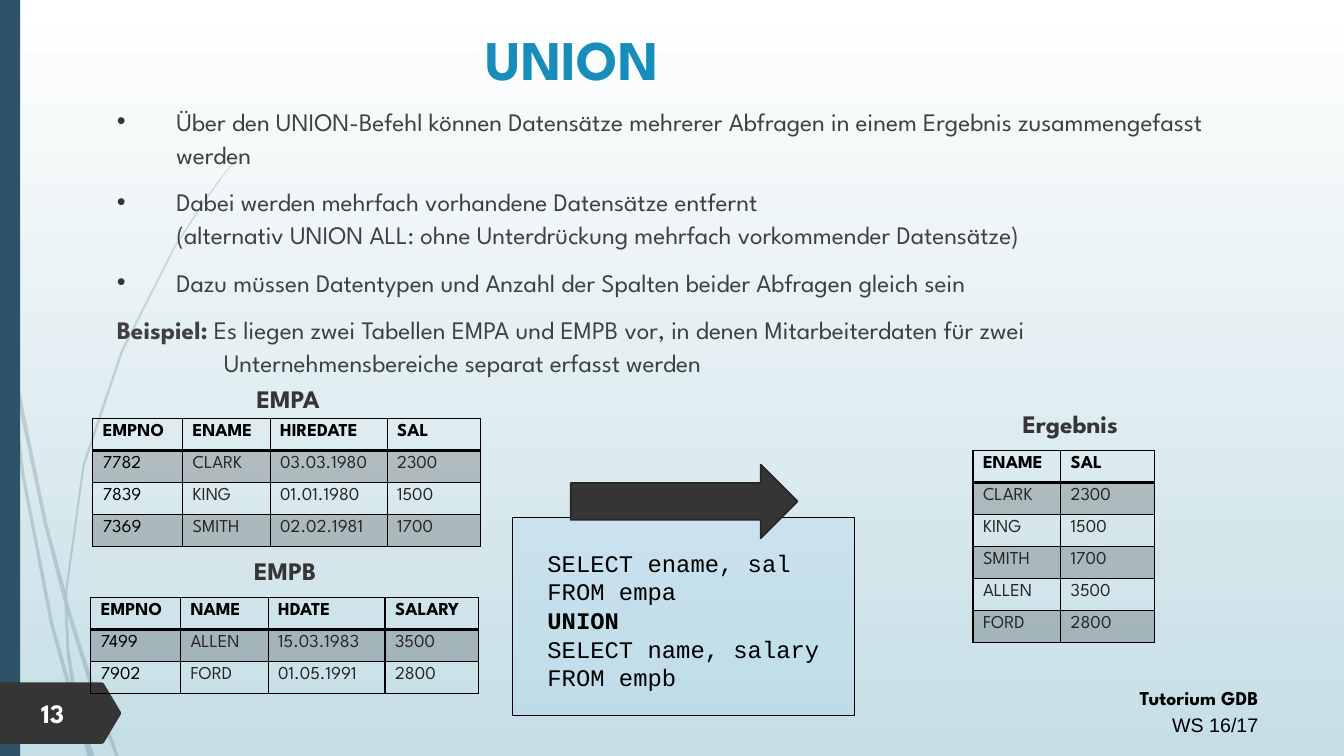
from lxml import etree
from pptx import Presentation
from pptx.dml.color import RGBColor
from pptx.enum.shapes import MSO_SHAPE
from pptx.enum.text import MSO_ANCHOR, MSO_AUTO_SIZE, PP_ALIGN
from pptx.oxml.ns import qn
from pptx.util import Inches, Pt

LEFT, CENTER, RIGHT = PP_ALIGN.LEFT, PP_ALIGN.CENTER, PP_ALIGN.RIGHT
TOP, MIDDLE = MSO_ANCHOR.TOP, MSO_ANCHOR.MIDDLE
RECTANGLE, ARROW = MSO_SHAPE.RECTANGLE, MSO_SHAPE.RIGHT_ARROW
NO_AUTOFIT = MSO_AUTO_SIZE.NONE
FONT, CODE_FONT, PLAIN_FONT = "League Spartan", "Courier New", "Arial"
COLORS = {
    "white": "FFFFFF", "mist": "C5DEE5", "navy": "2E5369", "title": "178DBB",
    "body": "404040", "dark": "353535", "edge": "272727", "black": "000000",
    "cell": "262626", "code": "A8D5F0",
}
WISPS = [
    [(.08, 3.5), (.06, 3.22), (0, 2.82), (0, 2.99), (.08, 3.44)],
    [(.44, 5.22), (.64, 5.99), (.65, 5.86), (.47, 5.2), (.11, 3.45), (.13, 3.76)],
    [(.7, 6.07), (.67, 5.96), (.67, 6.1), (.93, 6.94), (1.15, 7.51), (1.18, 7.51),
     (.97, 6.92)],
    [(.91, 7.51), (.94, 7.51), (.8, 7.11)],
    [(.71, 6.83), (.53, 6.19), (.24, 4.69), (.13, 3.76), (.08, 3.5), (.21, 4.7),
     (.5, 6.21), (.7, 6.93), (.77, 7.14), (.75, 7.07)],
    [(.64, 5.99), (.66, 6.46), (.71, 6.83), (.73, 6.92), (.8, 7.11), (.79, 7.06),
     (.69, 6.46), (.67, 6.1), (.67, 6.08)],
    [(.67, 5.84), (.84, 4.62), (1.22, 3.49), (1.74, 2.45), (2.05, 1.98), (2.21, 1.75),
     (2.38, 1.54), (2.38, 1.53), (2.2, 1.75), (2.04, 1.97), (1.73, 2.44), (1.2, 3.48),
     (.82, 4.61), (.65, 5.84), (.65, 5.86), (.67, 5.96)],
    [(.77, 7.14), (.87, 7.51), (.9, 7.51)],
    [(.67, 6.08), (.67, 6.1), (.67, 5.96), (.65, 5.86), (.64, 5.99)],
    [(.74, 6.92), (.71, 6.83), (.75, 7.07), (.77, 7.14), (.9, 7.51), (.91, 7.51),
     (.8, 7.11)],
]


def rgb(name):
    return RGBColor.from_string(COLORS[name])


def box_lengths(box):
    return [Inches(value) for value in box]


def write(paragraph, text, size=18, font=FONT, color="black", bold=False, align=LEFT):
    """Add text to a paragraph; a newline becomes a line break."""
    paragraph.alignment = align
    for index, line in enumerate(text.split("\n")):
        if index:
            paragraph.add_line_break()
        run = paragraph.add_run()
        run.text = line
        run.font.size, run.font.name, run.font.bold = Pt(size), font, bold
        run.font.color.rgb = rgb(color)


def paint(shape, color, opacity=100, line=None, line_width=1):
    shape.shadow.inherit = False
    shape.fill.solid()
    shape.fill.fore_color.rgb = rgb(color)
    if opacity < 100:
        set_opacity(shape.fill, shape._element.spPr, opacity)
    if line:
        shape.line.color.rgb = rgb(line)
        shape.line.width = Pt(line_width)
    else:
        shape.line.fill.background()


def set_opacity(fill, properties, opacity):
    color = properties.find(qn("a:solidFill"))[0]
    etree.SubElement(color, qn("a:alpha"), val=str(opacity * 1000))


def add_text_box(slide, box, text, anchor=TOP, **text_format):
    frame = slide.shapes.add_textbox(*box_lengths(box)).text_frame
    frame.word_wrap, frame.vertical_anchor = True, anchor
    write(frame.paragraphs[0], text, **text_format)
    return frame


def add_outline(slide, origin, points, **style):
    corners = [(Inches(origin[0] + x), Inches(origin[1] + y)) for x, y in points]
    builder = slide.shapes.build_freeform(*corners[0], scale=1)
    builder.add_line_segments(corners[1:], close=True)
    paint(builder.convert_to_shape(), **style)


def place_placeholder(placeholder, box):
    """Position a placeholder and bring it in front of the scenery."""
    placeholder.left, placeholder.top, placeholder.width, placeholder.height = box_lengths(box)
    element = placeholder.element
    element.getparent().append(element)
    frame = placeholder.text_frame
    frame.word_wrap, frame.auto_size = True, NO_AUTOFIT
    return frame


def add_scenery(slide, box):
    left, top, _, height = box
    fill = slide.background.fill
    fill.gradient()
    fill.gradient_angle = 270
    for stop, position, color in zip(fill.gradient_stops, (0, 1), ("white", "mist")):
        stop.position, stop.color.rgb = position, rgb(color)
    for points in WISPS:
        add_outline(slide, (left, top), points, color="navy", opacity=20)
    bar = slide.shapes.add_shape(RECTANGLE, *box_lengths((left, top, 0.2, height)))
    paint(bar, "navy")


def add_footer(slide, box):
    frame = add_text_box(slide, box, "Tutorium GDB", size=14, bold=True, align=RIGHT)
    write(frame.add_paragraph(), "WS 16/17", size=14, font=PLAIN_FONT, align=RIGHT)
    for paragraph in frame.paragraphs:
        paragraph.line_spacing = 1.14


def add_page_tag(slide, box):
    left, top, width, height = box
    shoulder = width - 0.17
    tag = [(0, 0), (shoulder - 0.02, 0), (shoulder, 0.01), (width, height / 2 - 0.01),
           (width, height / 2 + 0.01), (shoulder, height - 0.01), (shoulder - 0.02, height),
           (0, height)]
    add_outline(slide, (left, top), tag, color="dark")
    add_text_box(slide, (left + 0.31, top + 0.09, 0.7, 0.42), "13", anchor=MIDDLE,
                 size=19, color="white", bold=True)


def add_title(slide, box):
    frame = place_placeholder(slide.shapes.title, box)
    frame.vertical_anchor = MIDDLE
    write(frame.paragraphs[0], "UNION", size=40, color="title", bold=True, align=CENTER)


def set_indent(paragraph, indent, bullet=None):
    properties = paragraph._p.get_or_add_pPr()
    properties.set("marL", str(Inches(indent)))
    properties.set("indent", str(-Inches(indent)))
    if bullet:
        color = etree.SubElement(properties, qn("a:buClr"))
        etree.SubElement(color, qn("a:srgbClr"), val=COLORS["dark"])
        etree.SubElement(properties, qn("a:buChar"), char=bullet)
    else:
        etree.SubElement(properties, qn("a:buNone"))


def add_body(slide, box):
    frame = place_placeholder(slide.placeholders[1], box)
    frame.vertical_anchor = TOP
    points = [
        "Über den UNION-Befehl können Datensätze mehrerer Abfragen in einem Ergebnis "
        "zusammengefasst werden",
        "Dabei werden mehrfach vorhandene Datensätze entfernt\n"
        "(alternativ UNION ALL: ohne Unterdrückung mehrfach vorkommender Datensätze)",
        "Dazu müssen Datentypen und Anzahl der Spalten beider Abfragen gleich sein",
    ]
    for index, text in enumerate(points):
        paragraph = frame.add_paragraph() if index else frame.paragraphs[0]
        write(paragraph, text, color="body")
        set_indent(paragraph, 0.59, "•")
    example = frame.add_paragraph()
    write(example, "Beispiel:", color="body", bold=True)
    write(example, " Es liegen zwei Tabellen EMPA und EMPB vor, in denen Mitarbeiterdaten für "
          "zwei\nUnternehmensbereiche separat erfasst werden", color="body")
    set_indent(example, 1.06)
    for paragraph in frame.paragraphs:
        paragraph.line_spacing, paragraph.space_before = 1.1, Pt(10)


def set_borders(cell, header):
    properties = cell._tc.get_or_add_tcPr()
    for index, side in enumerate(("lnL", "lnR", "lnT", "lnB")):
        width = Pt(2 if header and side == "lnB" else 1)
        line = etree.Element(qn(f"a:{side}"), w=str(width))
        fill = etree.SubElement(line, qn("a:solidFill"))
        etree.SubElement(fill, qn("a:srgbClr"), val=COLORS["black"])
        properties.insert(index, line)


def add_data_table(slide, box, caption, caption_box, columns, rows, black_columns=0):
    """Draw a captioned table whose odd data rows are shaded."""
    add_text_box(slide, caption_box, caption, color="dark", bold=True, align=CENTER)
    frame = slide.shapes.add_table(len(rows), len(columns), *box_lengths(box))
    table = frame.table
    table.first_row = table.horz_banding = False
    for column, width in zip(table.columns, columns):
        column.width = Inches(width)
    for row_index, values in enumerate(rows):
        header = row_index == 0
        for column_index, value in enumerate(values):
            cell = table.cell(row_index, column_index)
            black = header or column_index < black_columns
            write(cell.text_frame.paragraphs[0], value, size=13, bold=header,
                  color="black" if black else "cell")
            if row_index % 2:
                cell.fill.solid()
                cell.fill.fore_color.rgb = rgb("black")
                set_opacity(cell.fill, cell._tc.tcPr, 20)
            else:
                cell.fill.background()
            set_borders(cell, header)


def add_query(slide, box):
    shape = slide.shapes.add_shape(RECTANGLE, *box_lengths(box))
    paint(shape, "code", opacity=27, line="black", line_width=0.75)
    frame = shape.text_frame
    frame.word_wrap, frame.vertical_anchor = True, MIDDLE
    frame.margin_left, frame.margin_top = Inches(0.35), Inches(0.12)
    frame.margin_right, frame.margin_bottom = Inches(0.1), Inches(0.05)
    lines = ["SELECT ename, sal", "FROM empa", "UNION", "SELECT name, salary", "FROM empb"]
    for index, text in enumerate(lines):
        paragraph = frame.add_paragraph() if index else frame.paragraphs[0]
        write(paragraph, text, size=17, font=CODE_FONT, bold=text == "UNION")


def add_arrow(slide, box):
    arrow = slide.shapes.add_shape(ARROW, *box_lengths(box))
    paint(arrow, "dark", line="edge", line_width=1.25)


presentation = Presentation()
presentation.slide_width, presentation.slide_height = Inches(13.33), Inches(7.5)
slide = presentation.slides.add_slide(presentation.slide_layouts[1])

add_scenery(slide, (0, 0, 13.33, 7.5))
add_footer(slide, (7.38, 6.72, 5.2, 0.64))
add_page_tag(slide, (0, 6.77, 1.2, 0.61))
add_title(slide, (1.19, 0.17, 8.97, 0.81))
add_body(slide, (1.06, 0.97, 11.52, 5.8))

employee_columns = [0.89, 0.87, 1.16, 0.93]
add_data_table(slide, (0.92, 4.15, 3.85, 1.2), "EMPA", (2.36, 3.75, 1, 0.4), employee_columns, [
    ["EMPNO", "ENAME", "HIREDATE", "SAL"], ["7782", "CLARK", "03.03.1980", "2300"],
    ["7839", "KING", "01.01.1980", "1500"], ["7369", "SMITH", "02.02.1981", "1700"],
], black_columns=1)
add_data_table(slide, (0.9, 5.93, 3.85, 0.87), "EMPB", (2.33, 5.46, 1, 0.4), employee_columns, [
    ["EMPNO", "NAME", "HDATE", "SALARY"], ["7499", "ALLEN", "15.03.1983", "3500"],
    ["7902", "FORD", "01.05.1991", "2800"],
], black_columns=1)
add_query(slide, (5.08, 5.13, 3.4, 1.97))
add_data_table(slide, (9.65, 4.47, 1.8, 1.9), "Ergebnis", (9.78, 4, 1.67, 0.4), [0.87, 0.93], [
    ["ENAME", "SAL"], ["CLARK", "2300"], ["KING", "1500"], ["SMITH", "1700"],
    ["ALLEN", "3500"], ["FORD", "2800"],
])
add_arrow(slide, (5.66, 4.61, 2.25, 0.73))

presentation.save("out.pptx")
